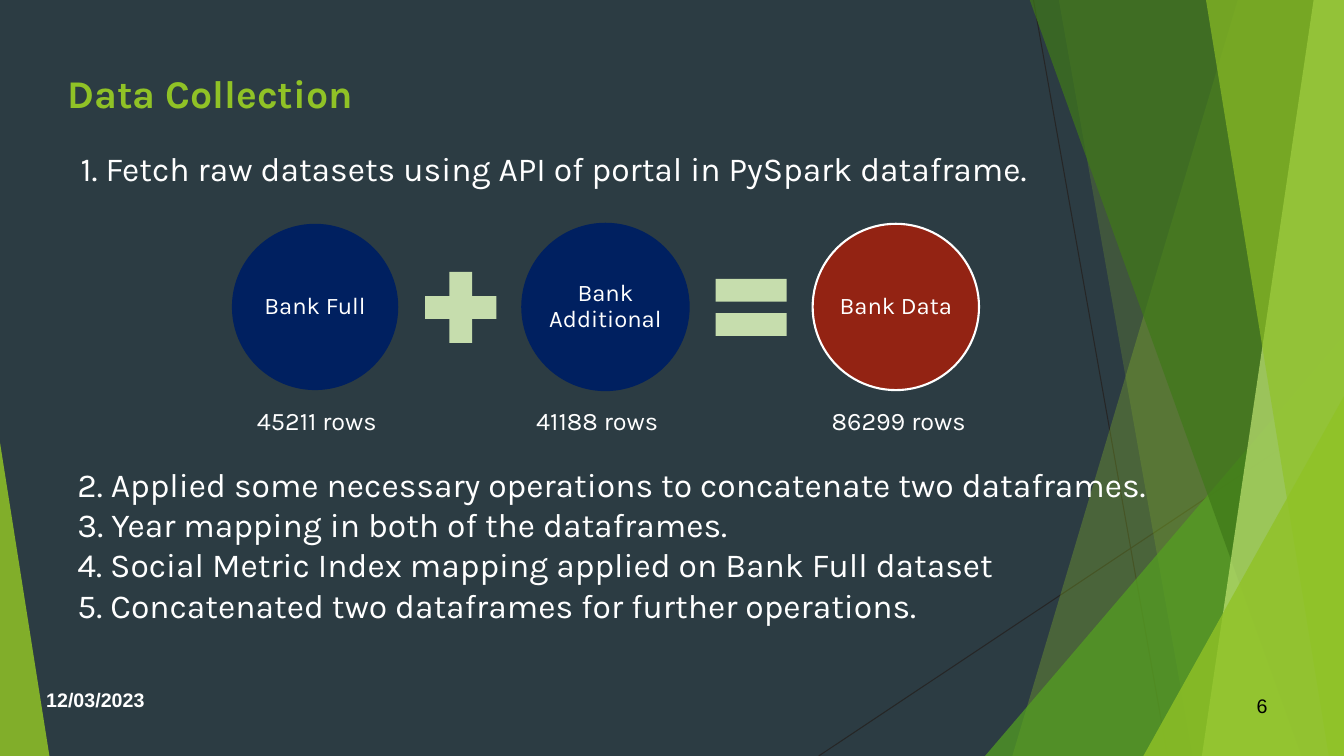
import pptx
import pptx.dml.color
import pptx.enum.shapes
import pptx.enum.text
import pptx.oxml.ns
import pptx.util
from dataclasses import dataclass
from lxml import etree

PX = 9144  # EMU per px, 100 px to the inch
WIDE, HIGH = 1333, 750
KIND = pptx.enum.shapes.MSO_SHAPE
ALIGN = pptx.enum.text.PP_ALIGN
ANCHOR = pptx.enum.text.MSO_ANCHOR


@dataclass(frozen=True)
class Theme:
    font: str = "Karla"
    small: str = "Arial"
    back: str = "2C3C43"
    white: str = "FFFFFF"
    black: str = "000000"
    rule: str = "262626"
    lime: str = "90C226"
    pale: str = "C0E474"
    leaf: str = "54A021"
    dark: str = "3F7819"
    navy: str = "002060"
    red: str = "932313"
    sign: str = "C6DDAD"
    title: int = 28
    body: int = 24
    count: int = 18
    label: int = 17
    foot: int = 14


T = Theme()


def emu(*nums):
    return [pptx.util.Emu(num * PX) for num in nums]


def color(code):
    return pptx.dml.color.RGBColor.from_string(code)


def write(frame, text, size, font=T.font, tint=T.white, bold=False,
          align=ALIGN.LEFT, anchor=ANCHOR.TOP, inset=(10, 5), space=None):
    """Fill a text frame, one paragraph to each line of text."""
    frame.word_wrap = True
    frame.auto_size = pptx.enum.text.MSO_AUTO_SIZE.NONE
    frame.vertical_anchor = anchor
    frame.margin_left, frame.margin_top = emu(*inset)
    frame.margin_right, frame.margin_bottom = emu(*inset)
    frame.text = text
    for para in frame.paragraphs:
        para.alignment = align
        if space:
            para.line_spacing = space
        face = para.runs[0].font
        face.name, face.size, face.bold = font, pptx.util.Pt(size), bold
        face.color.rgb = color(tint)


def add_text(slide, box, text, size, **style):
    write(slide.shapes.add_textbox(*emu(*box)).text_frame, text, size, **style)


def paint(shape, fill, alpha=100, edge=None):
    """Set fill, opacity in percent and outline."""
    shape.shadow.inherit = False
    shape.fill.solid()
    shape.fill.fore_color.rgb = color(fill)
    if alpha < 100:
        qn = pptx.oxml.ns.qn
        tone = shape._element.spPr.find(qn("a:solidFill")).find(qn("a:srgbClr"))
        etree.SubElement(tone, qn("a:alpha")).set("val", str(alpha * 1000))
    if edge:
        shape.line.color.rgb = color(edge)
        shape.line.width = pptx.util.Pt(1.5)
    else:
        shape.line.fill.background()


def add_form(slide, kind, box, fill, **style):
    shape = slide.shapes.add_shape(kind, *emu(*box))
    paint(shape, fill, **style)
    return shape


def add_line(slide, ends):
    line = slide.shapes.add_connector(
        pptx.enum.shapes.MSO_CONNECTOR.STRAIGHT, *emu(*ends))
    line.line.color.rgb = color(T.rule)
    line.line.width = pptx.util.Pt(0.75)
    etree.SubElement(line._element.spPr, pptx.oxml.ns.qn("a:effectLst"))


def add_band(slide, top, foot, fill, alpha):
    """Draw a band from a slanted left edge to the right of the slide."""
    pen = slide.shapes.build_freeform(top, -1, scale=PX)
    pen.add_line_segments([(WIDE, -1), (WIDE, HIGH), (foot, HIGH)])
    paint(pen.convert_to_shape(), fill, alpha)


def add_wedge(slide, box, apex, fill, alpha):
    wedge = add_form(slide, KIND.ISOSCELES_TRIANGLE, box, fill, alpha=alpha)
    wedge.adjustments[0] = apex


def add_decor(slide):
    add_line(slide, (1025, 0, 1158, HIGH))
    add_line(slide, (WIDE, 403, 812, HIGH))
    add_band(slide, 1228, 1004, T.lime, 30)
    add_band(slide, 1050, 1183, T.lime, 20)
    add_wedge(slide, (977, 333, 356, 417), 1, T.leaf, 72)
    add_band(slide, 1021, 1291, T.dark, 70)
    add_band(slide, 1303, 1192, T.pale, 70)
    add_band(slide, 1196, 1318, T.lime, 65)
    add_wedge(slide, (1134, 393, 199, 357), 1, T.lime, 80)
    add_wedge(slide, (0, 439, 49, 311), 0, T.lime, 85)


def add_sum(slide):
    """Draw the two datasets, their sum and the row counts."""
    sets = [
        ("Bank Full", T.navy, None, "45211 rows", 245),
        ("Bank Additional", T.navy, T.navy, "41188 rows", 522),
        ("Bank Data", T.red, T.white, "86299 rows", 815),
    ]
    signs = [KIND.MATH_PLUS, KIND.MATH_EQUAL]
    left, step = 230, 288
    for num, (name, fill, edge, rows, spot) in enumerate(sets):
        disc = add_form(slide, KIND.OVAL, (left + num * step, 222, 165, 165),
                        fill, edge=edge)
        write(disc.text_frame, name, T.label, align=ALIGN.CENTER,
              anchor=ANCHOR.MIDDLE, inset=(2, 2), space=0.9)
        add_text(slide, (spot, 397, 157, 40), rows, T.count)
    for num, kind in enumerate(signs):
        add_form(slide, kind, (409 + num * step, 257, 96, 96), T.sign)


def add_title(slide, box, text):
    title = slide.shapes.title
    title.left, title.top, title.width, title.height = emu(*box)
    write(title.text_frame, text, T.title, tint=T.lime, bold=True,
          anchor=ANCHOR.MIDDLE, inset=(0, 0))


def main():
    deck = pptx.Presentation()
    deck.slide_width, deck.slide_height = emu(WIDE, HIGH)
    slide = deck.slides.add_slide(deck.slide_layouts[5])
    slide.background.fill.solid()
    slide.background.fill.fore_color.rgb = color(T.back)

    add_decor(slide)
    add_title(slide, (67, 30, 1200, 125), "Data Collection")
    add_text(slide, (70, 142, 1145, 91),
             "1. Fetch raw datasets using API of portal in PySpark dataframe.",
             T.body)
    add_sum(slide)
    steps = [
        "2. Applied some necessary operations to concatenate two dataframes.",
        "3. Year mapping in both of the dataframes.",
        "4. Social Metric Index mapping applied on Bank Full dataset",
        "5. Concatenated two dataframes for further operations.",
    ]
    add_text(slide, (67, 455, 1129, 172), "\n".join(steps), T.body)
    add_text(slide, (36, 678, 311, 52), "12/03/2023", T.foot,
             font=T.small, bold=True)
    add_text(slide, (956, 683, 311, 52), "6", T.foot, font=T.small,
             tint=T.black, align=ALIGN.RIGHT)
    deck.save("out.pptx")


if __name__ == "__main__":
    main()
